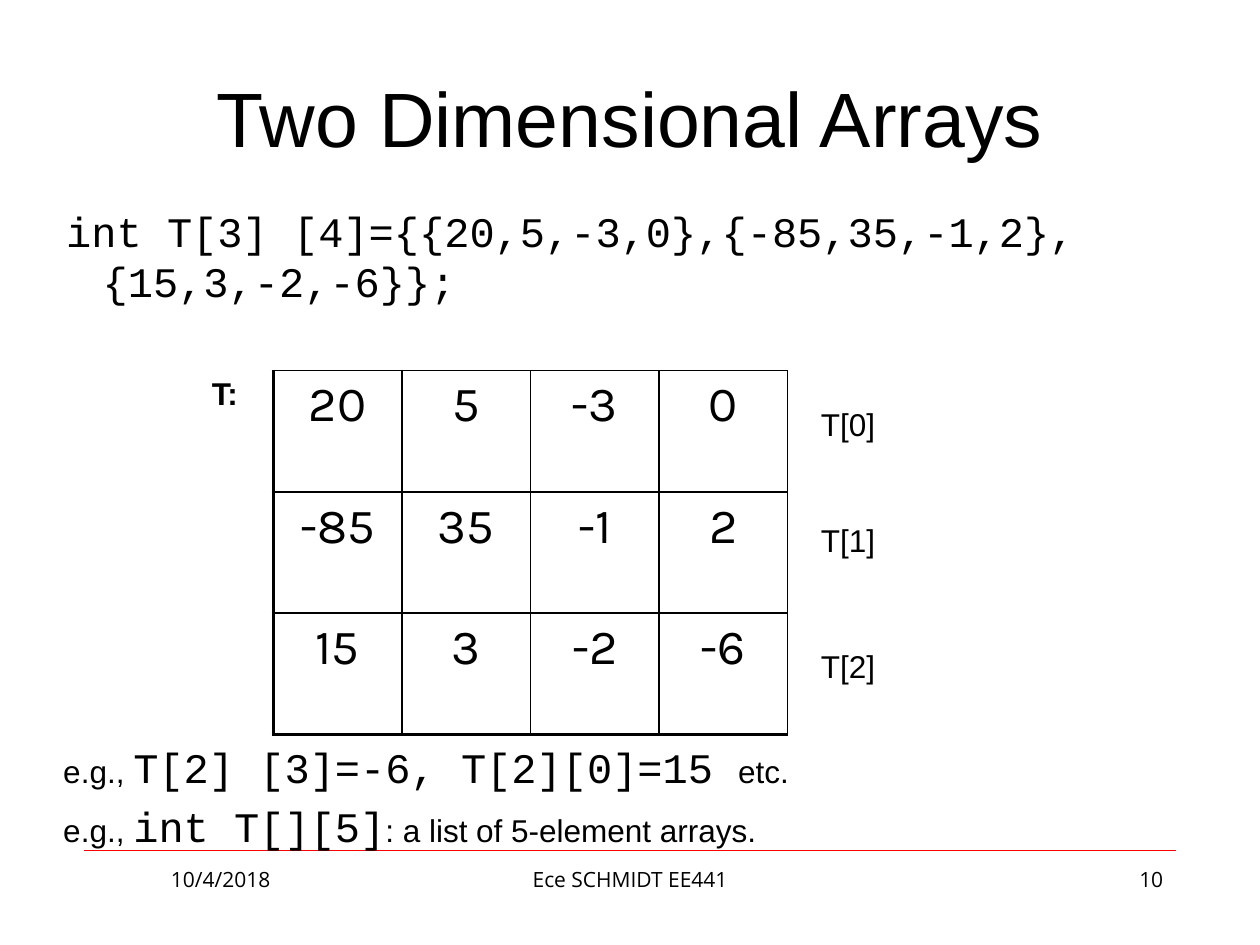
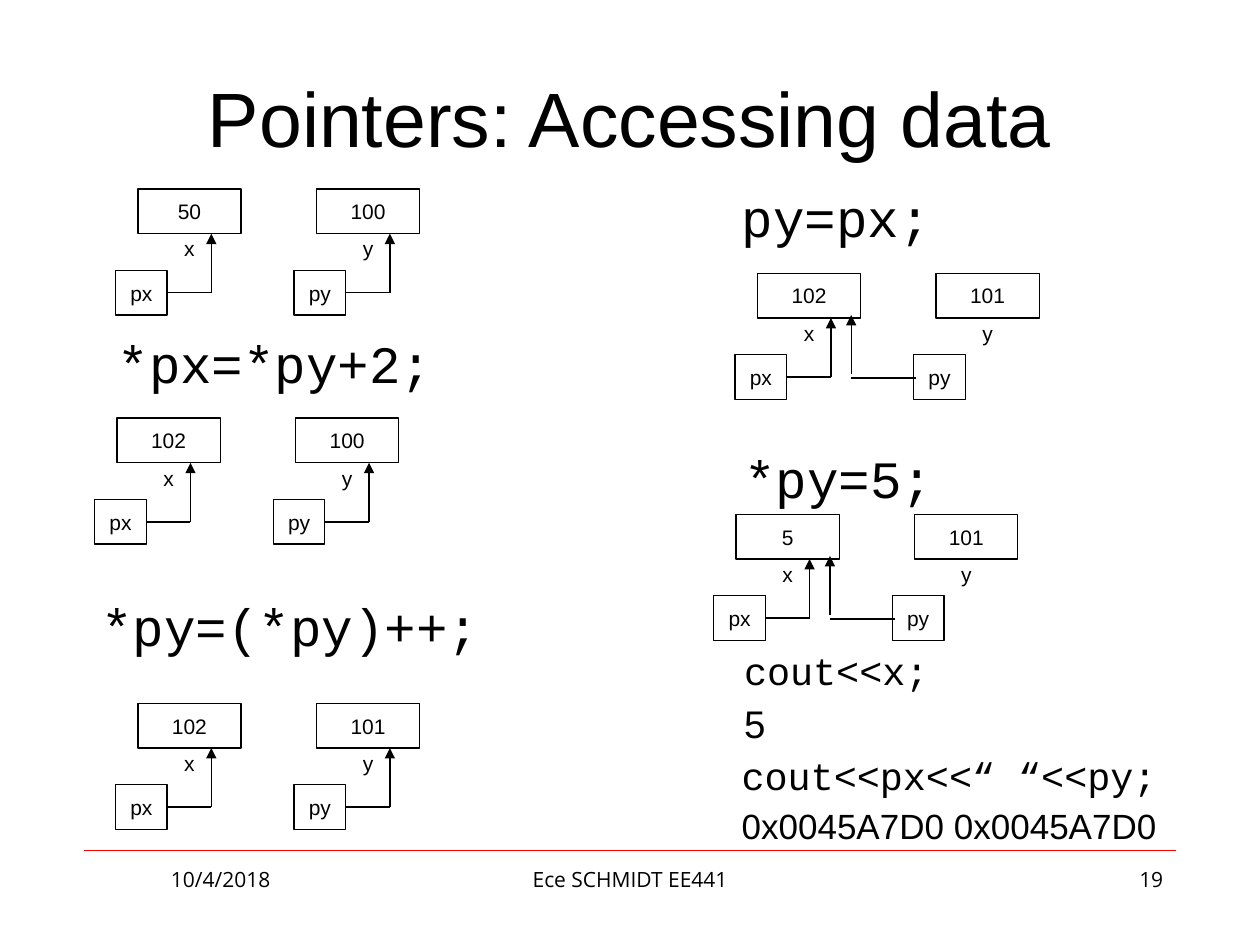
from lxml import etree
from pptx import Presentation
from pptx.dml.color import RGBColor
from pptx.enum.shapes import MSO_CONNECTOR, MSO_SHAPE
from pptx.enum.text import MSO_ANCHOR as Anchor, PP_ALIGN as Align
from pptx.oxml.ns import qn
from pptx.util import Cm, Pt

COLORS = {"ink": "000000", "rule": "FF0000", "paper": "FFFFFF"}
SANS, MONO, NUMERAL, FOOTER = "Arial", "Courier New", "Karla", "Open Sans"
HANGING = (0.97, -0.97)
CODE_INDENT = (1.85, -0.91)


def rgb(name):
    """Return a palette colour."""
    return RGBColor.from_string(COLORS[name])


def write(frame, lines, align=Align.LEFT, indent=None, bold=False):
    """Fill a text frame with lines, each a list of (text, size, font) spans."""
    for index, spans in enumerate(lines):
        para = frame.add_paragraph() if index else frame.paragraphs[0]
        para.alignment = align
        para.font.bold = bold
        para.font.color.rgb = rgb("ink")
        if index:
            para.space_before = Pt(round(0.2 * max(size for _, size, _ in spans)))
        if indent:
            props = para._p.get_or_add_pPr()
            props.set("marL", str(Cm(indent[0])))
            props.set("indent", str(Cm(indent[1])))
        for text, size, font in spans:
            span = para.add_run()
            span.text = text
            span.font.size, span.font.name = Pt(size), font
            span.font.color.rgb = rgb("ink")


def add_text(shapes, box, lines, anchor=Anchor.TOP, **style):
    """Add a wrapping text box at box, given in centimetres."""
    frame = shapes.add_textbox(*map(Cm, box)).text_frame
    frame.word_wrap = True
    frame.vertical_anchor = anchor
    write(frame, lines, **style)
    return frame


def add_line(shapes, start, end, color="ink", width=0.75, arrow=False):
    """Add a straight line, with an arrowhead at its end if asked."""
    line = shapes.add_connector(MSO_CONNECTOR.STRAIGHT, *map(Cm, start + end))
    line.line.color.rgb = rgb(color)
    line.line.width = Pt(width)
    if arrow:
        etree.SubElement(line.line._get_or_add_ln(), qn("a:tailEnd"), type="triangle")
    etree.SubElement(line._element.spPr, qn("a:effectLst"))


def add_page(deck, title, number):
    """Add a page with its title, rule and footer."""
    page = deck.slides.add_slide(deck.slide_layouts[6])
    page.background.fill.solid()
    page.background.fill.fore_color.rgb = rgb("paper")
    add_line(page.shapes, (1.7, 17.15), (23.7, 17.15), "rule", 0.25)
    add_text(page.shapes, (1.27, 0.76, 22.86, 3.18), [[(title, 44, SANS)]],
             Anchor.MIDDLE, align=Align.CENTER)
    for left, width, text, align in ((1.7, 5.5, "10/4/2018", Align.CENTER),
                                     (8.68, 8.05, "Ece SCHMIDT EE441", Align.CENTER),
                                     (18.2, 5.5, str(number), Align.RIGHT)):
        add_text(page.shapes, (left, 17.35, width, 1.32), [[(text, 12, FOOTER)]], align=align)
    return page


def set_borders(cell, widths):
    """Draw the left, right, top and bottom cell borders in the given widths."""
    props = cell._tc.get_or_add_tcPr()
    for side, width in zip("LRTB", widths):
        border = etree.SubElement(props, qn(f"a:ln{side}"), w=str(Pt(width)))
        fill = etree.SubElement(border, qn("a:solidFill"))
        etree.SubElement(fill, qn("a:srgbClr"), val=COLORS["ink"])


def add_grid(shapes, box, rows):
    """Add the array as a table with thick left and bottom edges."""
    table = shapes.add_table(len(rows), len(rows[0]), *map(Cm, box)).table
    table.first_row = table.horz_banding = False
    for r, values in enumerate(rows):
        for c, value in enumerate(values):
            cell = table.cell(r, c)
            left = 1 if c else 2.25
            bottom = 2.25 if r == len(rows) - 1 else 1
            set_borders(cell, (left, 1, 1, bottom))
            cell.fill.background()
            write(cell.text_frame, [[(str(value), 28, NUMERAL)]], align=Align.CENTER)


def add_cell(shapes, box, text, outlined=True):
    """Add a small centred memory cell or its caption."""
    if outlined:
        shape = shapes.add_shape(MSO_SHAPE.RECTANGLE, *map(Cm, box))
        shape.shadow.inherit = False
        shape.fill.background()
        shape.line.color.rgb = rgb("ink")
        shape.line.width = Pt(0.75)
    else:
        shape = shapes.add_textbox(*map(Cm, box))
    frame = shape.text_frame
    frame.word_wrap = False
    frame.vertical_anchor = Anchor.MIDDLE
    frame.margin_left = frame.margin_right = frame.margin_top = frame.margin_bottom = 0
    write(frame, [[(text, 12, SANS)]], align=Align.CENTER)


def add_memory(page, left, top, x, y, shared=False):
    """Draw variables x and y with pointers px and py, both to x if shared."""
    shapes = page.shapes.add_group_shape().shapes
    for index, (name, value) in enumerate((("x", x), ("y", y))):
        start = left + 3.6 * index
        add_cell(shapes, (start + 0.45, top, 2.08, 0.9), str(value))
        add_cell(shapes, (start, top + 1.64, 1.04, 0.9), "p" + name)
        add_cell(shapes, (start + 0.45, top + 0.9, 2.08, 0.6), name, outlined=False)
        if shared and index:
            bend = left + 2.34
            add_line(shapes, (bend, top + 2.11), (start + 0.05, top + 2.11))
            add_line(shapes, (bend, top + 2.03), (bend, top + 0.84), arrow=True)
        else:
            bend = start + 1.93
            add_line(shapes, (start + 1.04, top + 2.09), (bend, top + 2.09))
            add_line(shapes, (bend, top + 2.09), (bend, top + 0.9), arrow=True)


def build_arrays(deck):
    """Build the page on two dimensional arrays."""
    shapes = add_page(deck, "Two Dimensional Arrays", 10).shapes
    code = "int T[3] [4]={{20,5,-3,0},{-85,35,-1,2},{15,3,-2,-6}};"
    add_text(shapes, (0.85, 4.02, 24.55, 1.48), [[(" ", 24, SANS), (code, 24, MONO)]],
             indent=HANGING)
    add_grid(shapes, (5.51, 7.47, 10.37, 7.34),
             [(20, 5, -3, 0), (-85, 35, -1, 2), (15, 3, -2, -6)])
    add_text(shapes, (4.02, 7.41, 1.48, 1.27), [[("T:", 18, SANS)]], bold=True)
    for row, top in enumerate((8.05, 10.37, 12.91)):
        add_text(shapes, (16.3, top, 2.54, 1.27), [[(f"T[{row}]", 18, SANS)]])
    add_text(shapes, (0.85, 14.82, 23.7, 2.54), [
        [(" e.g., ", 18, SANS), ("T[2] [3]=-6, T[2][0]=15 ", 24, MONO), ("etc.", 18, SANS)],
        [(" e.g., ", 18, SANS), ("int T[][5]", 24, MONO),
         (": a list of 5-element arrays.", 18, SANS)],
    ], indent=HANGING)


def build_pointers(deck):
    """Build the page on pointer access."""
    page = add_page(deck, "Pointers: Accessing data", 19)
    for left, top, code, indent in ((0.85, 6.54, "*px=*py+2;", (2.06, -0.79)),
                                    (0.85, 11.85, "*py=(*py)++;", CODE_INDENT),
                                    (13.76, 3.6, "py=px;", CODE_INDENT),
                                    (13.81, 8.86, "*py=5;", CODE_INDENT)):
        add_text(page.shapes, (left, top, 9.31, 1.9), [[(code, 30, MONO)]], indent=indent)
    add_memory(page, 2.33, 3.81, 50, 100)
    add_memory(page, 1.91, 8.43, 102, 100)
    add_memory(page, 2.33, 14.18, 102, 101)
    add_memory(page, 14.82, 5.51, 102, 101, shared=True)
    add_memory(page, 14.39, 10.37, 5, 101, shared=True)
    add_text(page.shapes, (13.81, 12.92, 9.1, 1.9),
             [[("cout<<x;", 22, MONO)], [("5", 22, SANS)]], indent=CODE_INDENT)
    add_text(page.shapes, (13.76, 15.03, 11, 1.9),
             [[("cout<<px<<“ “<<py;", 22, MONO)], [("0x0045A7D0 0x0045A7D0", 20, SANS)]],
             indent=CODE_INDENT)


def main():
    """Build and save the deck."""
    deck = Presentation()
    deck.slide_width, deck.slide_height = Cm(25.4), Cm(19.05)
    build_arrays(deck)
    build_pointers(deck)
    deck.save("out.pptx")


main()
